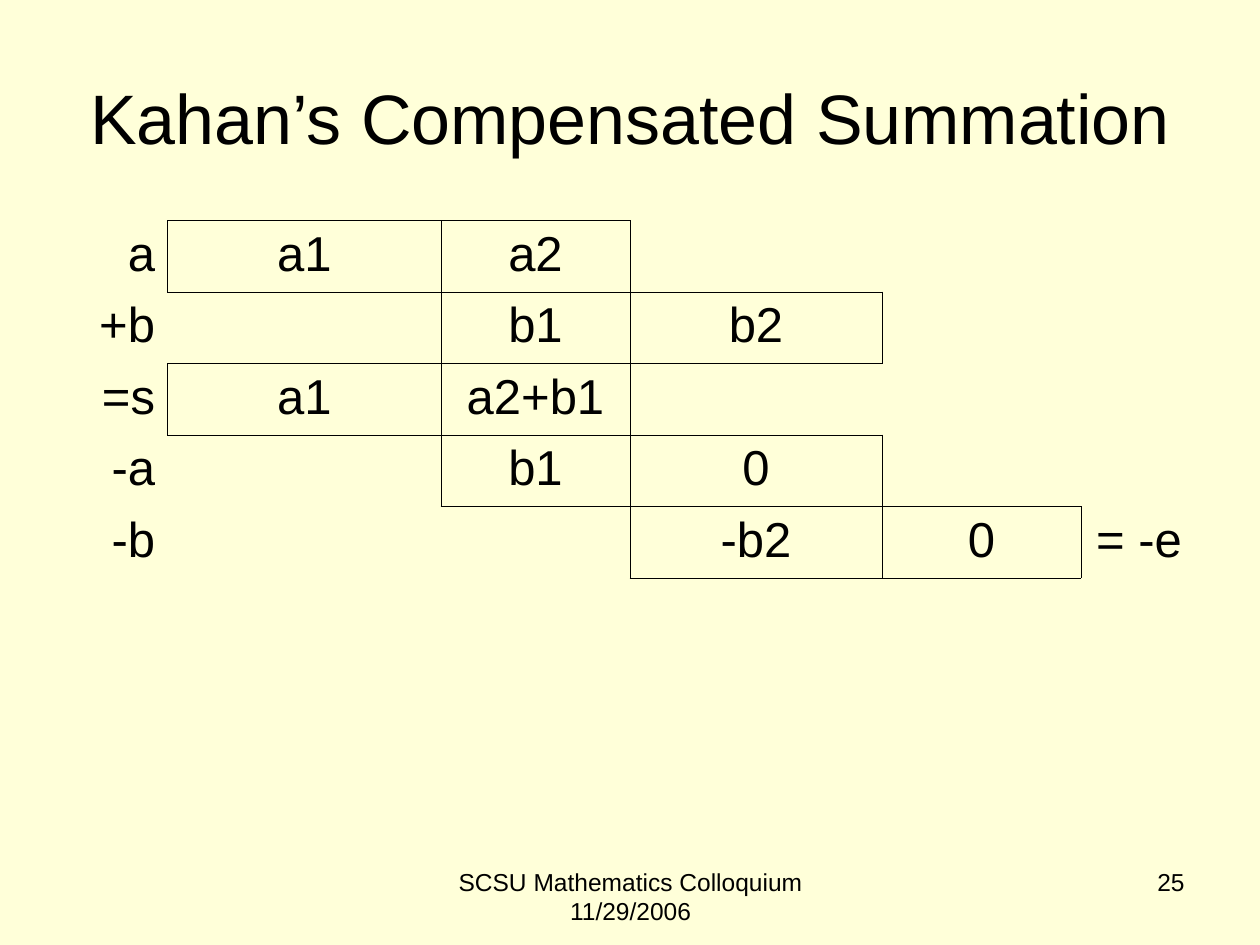
from lxml.etree import SubElement as Sub
from pptx import Presentation
from pptx.dml.color import RGBColor
from pptx.enum.text import MSO_ANCHOR as Anchor, PP_ALIGN as Align
from pptx.oxml.ns import qn
from pptx.util import Inches, Pt

WIDE, HIGH = 10, 7.5
PAPER, INK = "FFFFD9", "000000"
COLS = [0.83, 2.17, 1.5, 2, 1.58, 0.92]
ROW = 0.566
SUMS = [
    ["a", "a1", "a2", "", "", ""],
    ["+b", "", "b1", "b2", "", ""],
    ["=s", "a1", "a2+b1", "", "", ""],
    ["-a", "", "b1", "0", "", ""],
    ["-b", "", "", "-b2", "0", "= -e"],
]
NOTES = [
    ("Kahan’s Compensated Summation", (0.5, 0.3, 9, 1.25), 40, Align.CENTER, Anchor.MIDDLE),
    ("SCSU Mathematics Colloquium 11/29/2006", (3.42, 6.83, 3.17, 0.52), 14, Align.CENTER, Anchor.TOP),
    ("25", (7.17, 6.83, 2.33, 0.52), 14, Align.RIGHT, Anchor.TOP),
]
SIDES = {"lnL": (0, -1), "lnR": (0, 1), "lnT": (-1, 0), "lnB": (1, 0)}


def color(code):
    return RGBColor.from_string(code)


def write(frame, text, size, align):
    para = frame.paragraphs[0]
    para.alignment = align
    run = para.add_run()
    run.text = text
    run.font.name = "Arial"
    run.font.size = Pt(size)
    run.font.color.rgb = color(INK)


def boxed(row, col):
    inside = 0 <= row < len(SUMS) and 0 < col < len(COLS) - 1
    return inside and SUMS[row][col] != ""


def edge(cell, tag, drawn):
    line = Sub(cell._tc.get_or_add_tcPr(), qn("a:" + tag), w=str(Pt(0.45)))
    if drawn:
        fill = Sub(line, qn("a:solidFill"))
        Sub(fill, qn("a:srgbClr"), val=INK)
    else:
        Sub(line, qn("a:noFill"))


deck = Presentation()
deck.slide_width, deck.slide_height = Inches(WIDE), Inches(HIGH)
slide = deck.slides.add_slide(deck.slide_layouts[6])
back = slide.background.fill
back.solid()
back.fore_color.rgb = color(PAPER)

for text, spot, size, align, anchor in NOTES:
    frame = slide.shapes.add_textbox(*map(Inches, spot)).text_frame
    frame.word_wrap = True
    frame.vertical_anchor = anchor
    write(frame, text, size, align)

area = map(Inches, (0.5, 1.75, sum(COLS), ROW * len(SUMS)))
table = slide.shapes.add_table(len(SUMS), len(COLS), *area).table
table.first_row = table.horz_banding = False
for col, width in zip(table.columns, COLS):
    col.width = Inches(width)
for r, line in enumerate(SUMS):
    for c, text in enumerate(line):
        cell = table.cell(r, c)
        for tag, (down, over) in SIDES.items():
            edge(cell, tag, boxed(r, c) or boxed(r + down, c + over))
        cell.fill.background()
        if text:
            write(cell.text_frame, text, 28, Align.CENTER if c else Align.RIGHT)

deck.save("out.pptx")
